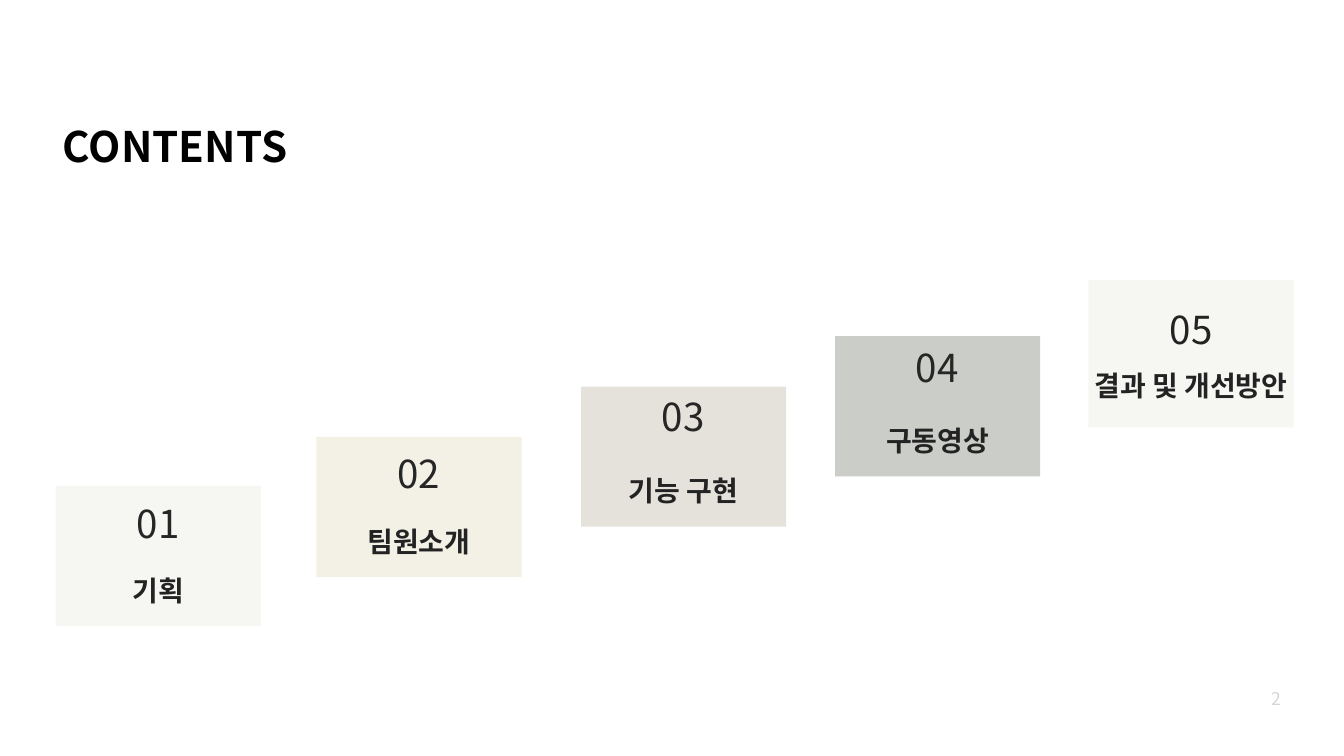
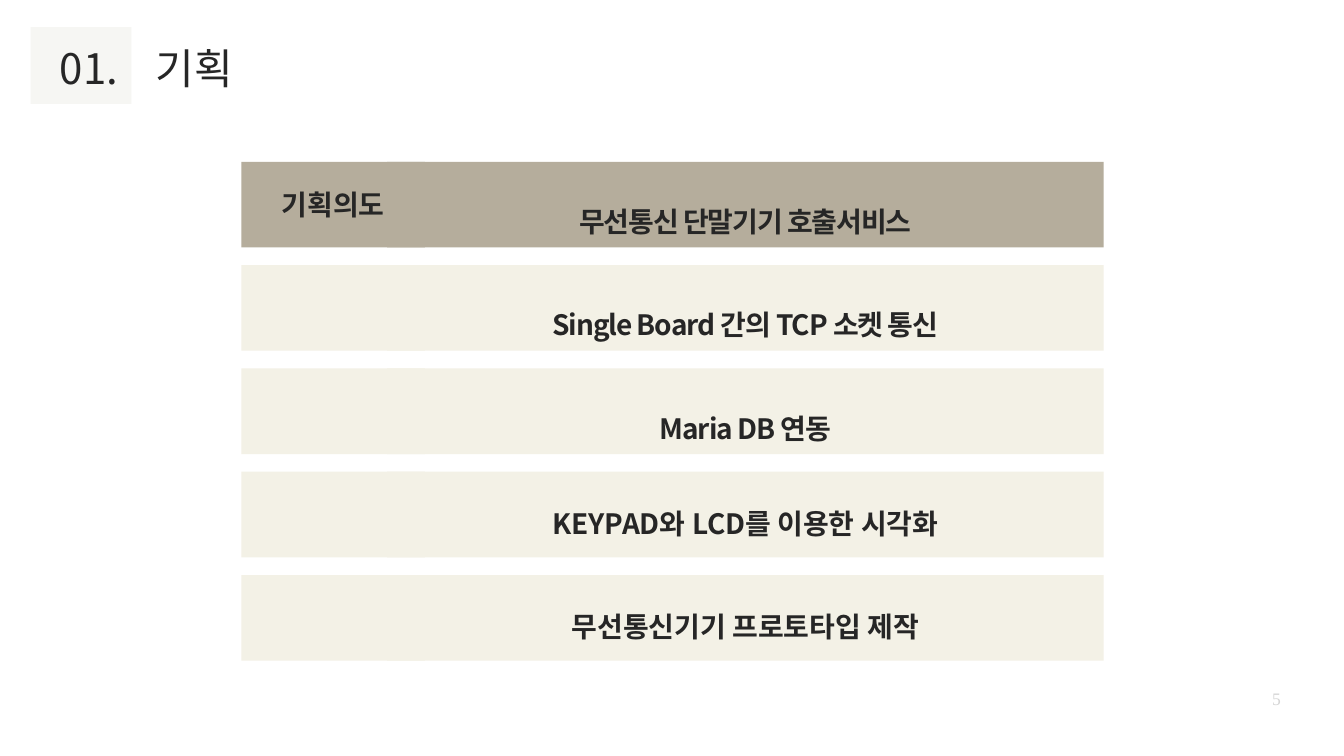
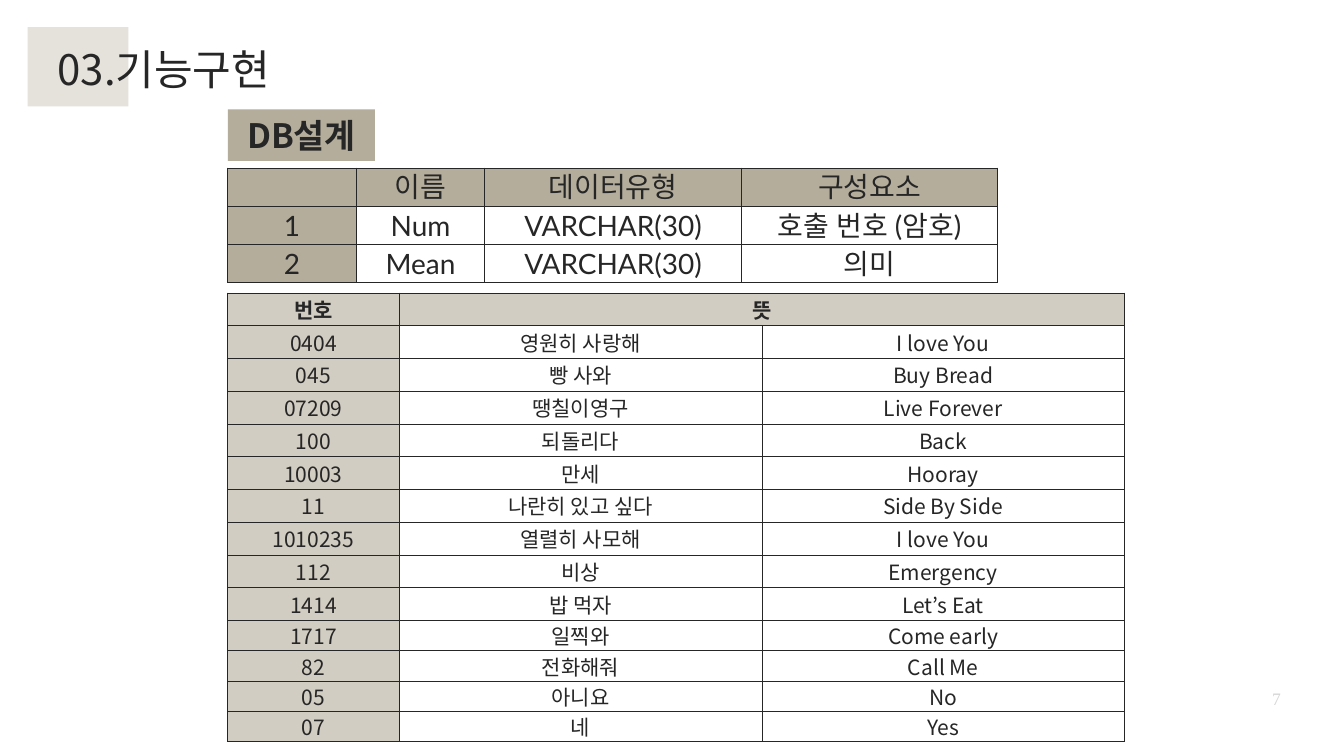
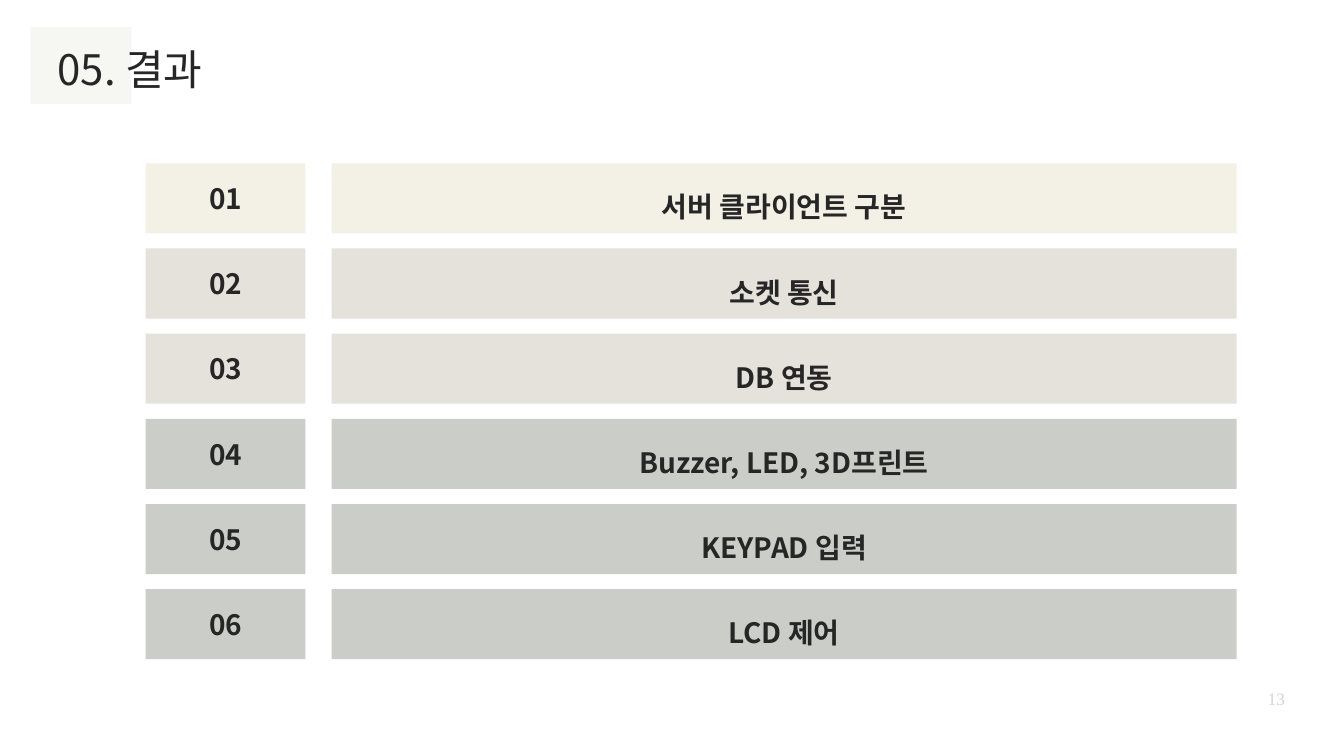
"""Build four slides of a project report: contents, plan, database design and results."""
import lxml.etree
import pptx
import pptx.dml.color
import pptx.enum.shapes
import pptx.enum.text
import pptx.oxml
import pptx.oxml.ns
import pptx.util

RGBColor = pptx.dml.color.RGBColor
ALIGN = pptx.enum.text.PP_ALIGN
ANCHOR = pptx.enum.text.MSO_ANCHOR
qn = pptx.oxml.ns.qn

PX = 9144
INSET = 6
SANS, LATIN, SERIF = "Noto Sans CJK KR", "Lato", "Times New Roman"
BLACK = RGBColor(0x00, 0x00, 0x00)
LABEL_INK = RGBColor(0x23, 0x23, 0x23)
INK = RGBColor(0x26, 0x26, 0x26)
PAGE_GREY = RGBColor(0xD5, 0xD5, 0xD5)
PALE = RGBColor(0xF6, 0xF6, 0xF3)
CREAM = RGBColor(0xF3, 0xF1, 0xE6)
SAND = RGBColor(0xE5, 0xE2, 0xDC)
SAGE = RGBColor(0xCB, 0xCE, 0xC8)
STONE = RGBColor(0xD2, 0xCD, 0xC2)
TAUPE = RGBColor(0xB5, 0xAD, 0x9C)


def format_paragraph(paragraph, size, bold=False, color=INK, font=SANS, align=ALIGN.CENTER):
    paragraph.alignment = align
    for run in paragraph.runs:
        run.font.size = pptx.util.Pt(size)
        run.font.bold = bold
        run.font.color.rgb = color
        run.font.name = font
        east_asian = lxml.etree.SubElement(run._r.get_or_add_rPr(), qn("a:ea"))
        east_asian.set("typeface", font)


def add_box(slide, left, top, width, height, text="", size=40, fill=None, **style):
    frame = [value * PX for value in (left, top, width, height)]
    if fill is None:
        shape = slide.shapes.add_textbox(*frame)
    else:
        shape = slide.shapes.add_shape(pptx.enum.shapes.MSO_SHAPE.RECTANGLE, *frame)
        shape.shadow.inherit = False
        shape.fill.solid()
        shape.fill.fore_color.rgb = fill
        shape.line.fill.background()
        shape.text_frame.vertical_anchor = ANCHOR.MIDDLE
    text_frame = shape.text_frame
    text_frame.word_wrap = True
    text_frame.margin_left = text_frame.margin_right = INSET * PX
    text_frame.margin_top = text_frame.margin_bottom = INSET * PX
    if text:
        text_frame.text = text
        for paragraph in text_frame.paragraphs:
            format_paragraph(paragraph, size, **style)
    return shape


presentation = pptx.Presentation()
presentation.slide_width = 2667 * PX
presentation.slide_height = 1500 * PX

slides = []
for page, page_font in (("2", SANS), ("5", SERIF), ("7", SERIF), ("13", SERIF)):
    slide = presentation.slides.add_slide(presentation.slide_layouts[6])
    number = add_box(slide, 2508, 1360, 50, 53, page, 25, color=PAGE_GREY, font=page_font)
    number.text_frame.word_wrap = False
    slides.append(slide)
contents, plan, database, results = slides

# fmt: off
headings = [
    (plan, (61, 54, 200, 152), PALE, (113, 78, 636, 128), "01.\t기획"),
    (database, (55, 54, 200, 157), SAND, (108, 81, 636, 128), "03.기능구현"),
    (results, (61, 54, 200, 152), PALE, (108, 81, 942, 128), "05. 결과"),
]
for slide, tag_frame, tag_fill, title_frame, title in headings:
    add_box(slide, *tag_frame, fill=tag_fill)
    heading = add_box(slide, *title_frame, title, 60, align=ALIGN.LEFT)
    if "\t" in title:
        properties = heading.text_frame.paragraphs[0]._p.get_or_add_pPr()
        tab_list = lxml.etree.SubElement(properties, qn("a:tabLst"))
        lxml.etree.SubElement(tab_list, qn("a:tab"), pos=str(190 * PX), algn="l")

add_box(contents, 119, 234, 636, 128, "CONTENTS", 60, bold=True, color=BLACK, align=ALIGN.LEFT)
steps = [
    (111, 964, 987, PALE, "기획"),
    (628, 867, 886, CREAM, "팀원소개"),
    (1153, 767, 773, SAND, "기능 구현"),
    (1657, 667, 677, SAGE, "구동영상"),
]
for index, (left, top, number_top, fill, label) in enumerate(steps, 1):
    step = add_box(contents, left, top, 407, 278, label, fill=fill, bold=True, color=LABEL_INK)
    step.text_frame.margin_top = 141 * PX
    add_box(contents, left + 146, number_top, 114, 171, f"{index:02}", 55)
last_step = add_box(contents, 2160, 556, 407, 292, fill=PALE)
last_step.text_frame.text = "05\n결과 및 개선방안"
last_number, last_label = last_step.text_frame.paragraphs
format_paragraph(last_number, 55, color=LABEL_INK)
format_paragraph(last_label, 40, bold=True, color=LABEL_INK)
last_label.space_before = pptx.util.Pt(24)

plan_rows = [
    ("기획의도", "무선통신 단말기기 호출서비스", TAUPE, 2.0, -150),
    ("", "Single Board 간의 TCP 소켓 통신", CREAM, 2.0, -150),
    ("", "Maria DB 연동", CREAM, 2.0, -150),
    ("", "KEYPAD와 LCD를 이용한 시각화", CREAM, 1.5, 0),
    ("", "무선통신기기 프로토타입 제작", CREAM, 1.5, 0),
]
for index, (label, text, fill, line_spacing, tracking) in enumerate(plan_rows):
    top = 321 + 205 * index
    add_box(plan, 479, top, 364, 170, label, fill=fill, bold=True)
    bar = add_box(plan, 768, top, 1422, 170, text, fill=fill, bold=True)
    paragraph = bar.text_frame.paragraphs[0]
    paragraph.line_spacing = line_spacing
    if tracking:
        paragraph.runs[0]._r.get_or_add_rPr().set("spc", str(tracking))

add_box(database, 452, 217, 292, 102, "DB설계", 48, fill=TAUPE, bold=True)
field_rows = [
    ("", "이름", "데이터유형", "구성요소"),
    ("1", "Num", "VARCHAR(30)", "호출 번호 (암호)"),
    ("2", "Mean", "VARCHAR(30)", "의미"),
]
code_rows = [
    ("번호", "뜻", ""),
    ("0404", "영원히 사랑해", "I love You"),
    ("045", "빵 사와", "Buy Bread"),
    ("07209", "땡칠이영구", "Live Forever"),
    ("100", "되돌리다", "Back"),
    ("10003", "만세", "Hooray"),
    ("11", "나란히 있고 싶다", "Side By Side"),
    ("1010235", "열렬히 사모해", "I love You"),
    ("112", "비상", "Emergency"),
    ("1414", "밥 먹자", "Let’s Eat"),
    ("1717", "일찍와", "Come early"),
    ("82", "전화해줘", "Call Me"),
    ("05", "아니요", "No"),
    ("07", "네", "Yes"),
]
tables = [
    (333, field_rows, [255, 255, 509, 509], [76] * 3, TAUPE, 40, LATIN, False),
    (581, code_rows, [340, 720, 719], [65] * 10 + [60] * 4, STONE, 30, SANS, True),
]
for top, rows, widths, heights, header_fill, size, font, bold_header in tables:
    table = database.shapes.add_table(
        len(rows), len(widths), 452 * PX, top * PX, sum(widths) * PX, sum(heights) * PX
    ).table
    table.first_row = table.horz_banding = False
    for column, width in zip(table.columns, widths):
        column.width = width * PX
    for row_index, (row, height) in enumerate(zip(rows, heights)):
        table.rows[row_index].height = height * PX
        for column_index, text in enumerate(row):
            cell = table.cell(row_index, column_index)
            cell.margin_left = cell.margin_right = INSET * PX
            cell.margin_top = cell.margin_bottom = 0
            cell.vertical_anchor = ANCHOR.MIDDLE
            paragraph = cell.text_frame.paragraphs[0]
            paragraph.text = text
            format_paragraph(paragraph, size, bold=bold_header and row_index == 0, font=font)
            cell_properties = cell._tc.get_or_add_tcPr()
            for side in ("a:lnL", "a:lnR", "a:lnT", "a:lnB"):
                border = lxml.etree.SubElement(cell_properties, qn(side), w="12700")
                border_fill = lxml.etree.SubElement(border, qn("a:solidFill"))
                lxml.etree.SubElement(border_fill, qn("a:srgbClr"), val=str(INK))
            if row_index == 0 or column_index == 0:
                cell.fill.solid()
                cell.fill.fore_color.rgb = header_fill
            else:
                cell.fill.background()
    if rows is code_rows:
        table.cell(0, 1).merge(table.cell(0, 2))

result_rows = [
    ("서버 클라이언트 구분", CREAM),
    ("소켓 통신", SAND),
    ("DB 연동", SAND),
    ("Buzzer, LED, 3D프린트", SAGE),
    ("KEYPAD 입력", SAGE),
    ("LCD 제어", SAGE),
]
for index, (text, fill) in enumerate(result_rows):
    top = 324 + 169 * index
    add_box(results, 289, top, 317, 139, f"{index + 1:02}", fill=fill, bold=True)
    bar = add_box(results, 658, top, 1796, 139, text, fill=fill, bold=True)
    bar.text_frame.paragraphs[0].line_spacing = 1.5

presentation.save("out.pptx")
